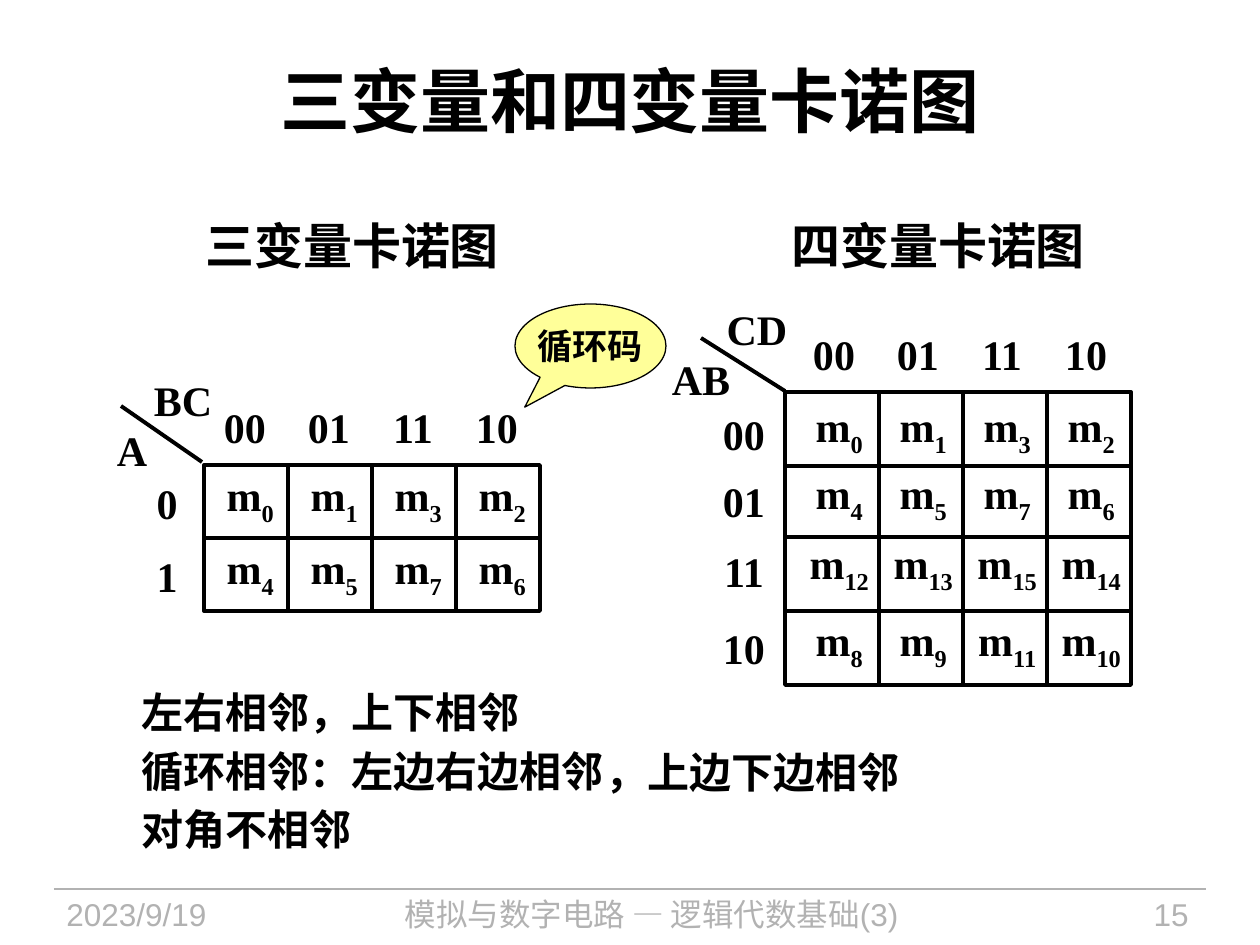
import pptx
import pptx.dml.color
import pptx.enum.shapes
import pptx.enum.text
import pptx.oxml.ns
import pptx.util
from lxml import etree

ALIGN = pptx.enum.text.PP_ALIGN
ANCHOR = pptx.enum.text.MSO_ANCHOR
SHAPE = pptx.enum.shapes.MSO_SHAPE
BLACK = pptx.dml.color.RGBColor(0, 0, 0)
GRAY = pptx.dml.color.RGBColor(0xB2, 0xB2, 0xB2)
YELLOW = pptx.dml.color.RGBColor(0xFF, 0xFF, 0x99)
SANS, SERIF = "Arial", "Times New Roman"
PITCH = 84  # distance between map columns
CODES = ("00", "01", "11", "10")


def px(*sizes):
    return [pptx.util.Emu(size * 914400 // 126) for size in sizes]


def style(par, size, face=SANS, color=BLACK, bold=True, align=ALIGN.LEFT):
    font = par.font
    font.size, font.name, font.bold = pptx.util.Pt(size), face, bold
    font.color.rgb = color
    par.alignment = align


def add_text(shapes, area, lines, size, gap=0, **look):
    box = shapes.add_textbox(*px(*area))
    frame = box.text_frame
    frame.word_wrap = True
    frame.text = "\n".join(lines)
    for par in frame.paragraphs:
        style(par, size, **look)
        par.space_after = pptx.util.Pt(gap)


def add_mark(shapes, mid, top, text, sub=""):
    """Add a short serif label centred on mid, with an optional subscript."""
    width = 98
    box = shapes.add_textbox(*px(mid - width // 2, top, width, 63))
    frame = box.text_frame
    frame.word_wrap = False
    frame.vertical_anchor = ANCHOR.MIDDLE
    par = frame.paragraphs[0]
    style(par, 24, SERIF, align=ALIGN.CENTER)
    par.add_run().text = text
    if sub:
        run = par.add_run()
        run.text = sub
        run._r.get_or_add_rPr().set("baseline", "-25000")


def add_line(shapes, ends, color=BLACK, width=2.25):
    kind = pptx.enum.shapes.MSO_CONNECTOR.STRAIGHT
    line = shapes.add_connector(kind, *px(*ends))
    line.line.color.rgb = color
    line.line.width = pptx.util.Pt(width)
    etree.SubElement(line._element.spPr, pptx.oxml.ns.qn("a:effectLst"))


def add_shape(shapes, kind, area, width):
    shape = shapes.add_shape(kind, *px(*area))
    shape.shadow.inherit = False
    shape.fill.background()
    shape.line.color.rgb = BLACK
    shape.line.width = pptx.util.Pt(width)
    return shape


def add_map(slide, cols, rows, terms, first, tops, codes, side, names, slash):
    """Draw a Karnaugh map; cols and rows hold the grid edges."""
    shapes = slide.shapes.add_group_shape().shapes
    left, right, top, low = cols[0], cols[-1], rows[0], rows[-1]
    area = (left, top, right - left, low - top)
    add_shape(shapes, SHAPE.RECTANGLE, area, 2.25)
    for col in cols[1:-1]:
        add_line(shapes, (col, top, col, low))
    for row in rows[1:-1]:
        add_line(shapes, (left, row, right, row))
    add_line(shapes, slash)
    for name, mid, high in names:
        add_mark(shapes, mid, high, name)
    for i, code in enumerate(CODES):
        add_mark(shapes, first + i * PITCH, top - 70, code)
    for code, high, line in zip(codes, tops, terms):
        add_mark(shapes, side, high + 4, code)
        for i, term in enumerate(line):
            add_mark(shapes, first + i * PITCH, high, " m", str(term))


def add_bubble(slide):
    kind = SHAPE.OVAL_CALLOUT
    shape = add_shape(slide.shapes, kind, (515, 304, 151, 84), 0.75)
    shape.adjustments[0], shape.adjustments[1] = -0.435, 0.729
    shape.fill.solid()
    shape.fill.fore_color.rgb = YELLOW
    frame = shape.text_frame
    frame.margin_left = frame.margin_right = 0
    frame.margin_top = frame.margin_bottom = 0
    frame.word_wrap = False
    frame.vertical_anchor = ANCHOR.MIDDLE
    frame.text = "循环码"
    style(frame.paragraphs[0], 20, align=ALIGN.CENTER)


def add_title(slide, text):
    title = slide.shapes.title
    title.left, title.top, title.width, title.height = px(63, 21, 1134, 158)
    title.text_frame.text = text
    title.text_frame.vertical_anchor = ANCHOR.MIDDLE
    style(title.text_frame.paragraphs[0], 40, align=ALIGN.CENTER)


def add_footer(slide):
    add_line(slide.shapes, (54, 889, 1206, 889), GRAY, 0.75)
    parts = (
        (54, 237, "2023/9/19", ALIGN.LEFT),
        (314, 675, "模拟与数字电路 — 逻辑代数基础(3)", ALIGN.CENTER),
        (1033, 168, "15", ALIGN.RIGHT),
    )
    for left, width, text, align in parts:
        add_text(slide.shapes, (left, 889, width, 55), [text], 18,
                 color=GRAY, bold=False, align=align)


def main():
    deck = pptx.Presentation()
    deck.slide_width, deck.slide_height = px(1260, 945)
    slide = deck.slides.add_slide(deck.slide_layouts[5])
    shapes = slide.shapes
    add_footer(slide)
    add_title(slide, "三变量和四变量卡诺图")
    add_text(shapes, (193, 209, 338, 72), ["三变量卡诺图"], 28)
    add_text(shapes, (779, 209, 350, 72), ["四变量卡诺图"], 28)

    terms = [(0, 1, 3, 2), (4, 5, 7, 6), (12, 13, 15, 14), (8, 9, 11, 10)]
    add_map(slide, cols=range(204, 541, PITCH), rows=(465, 538, 611),
            terms=terms[:2], first=245, tops=(467, 540),
            codes=("0", "1"), side=167,
            names=(("BC", 183, 368), ("A", 132, 418)),
            slash=(121, 406, 202, 462))
    add_map(slide, cols=(785, *range(879, 1132, PITCH)),
            rows=(392, 466, 537, 611, 685),
            terms=terms, first=834, tops=(398, 465, 535, 612),
            codes=CODES, side=744,
            names=(("CD", 757, 297), ("AB", 701, 347)),
            slash=(701, 338, 785, 391))

    notes = ["左右相邻，上下相邻", "循环相邻：左边右边相邻", "对角不相邻"]
    add_text(shapes, (129, 680, 501, 184), notes, 24, gap=4.8)
    add_bubble(slide)
    add_text(shapes, (593, 740, 339, 63), ["，上边下边相邻"], 24)
    deck.save("out.pptx")


if __name__ == "__main__":
    main()
